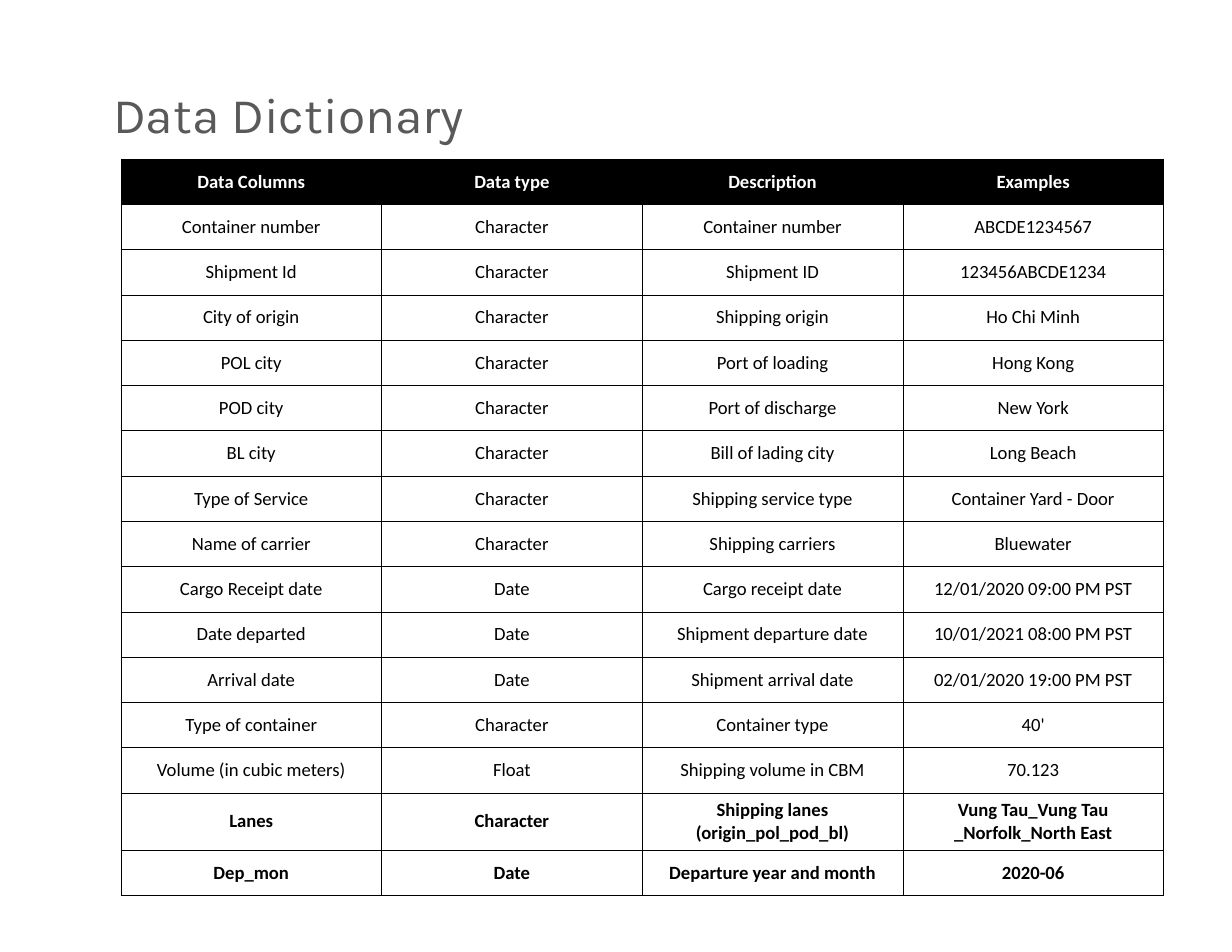
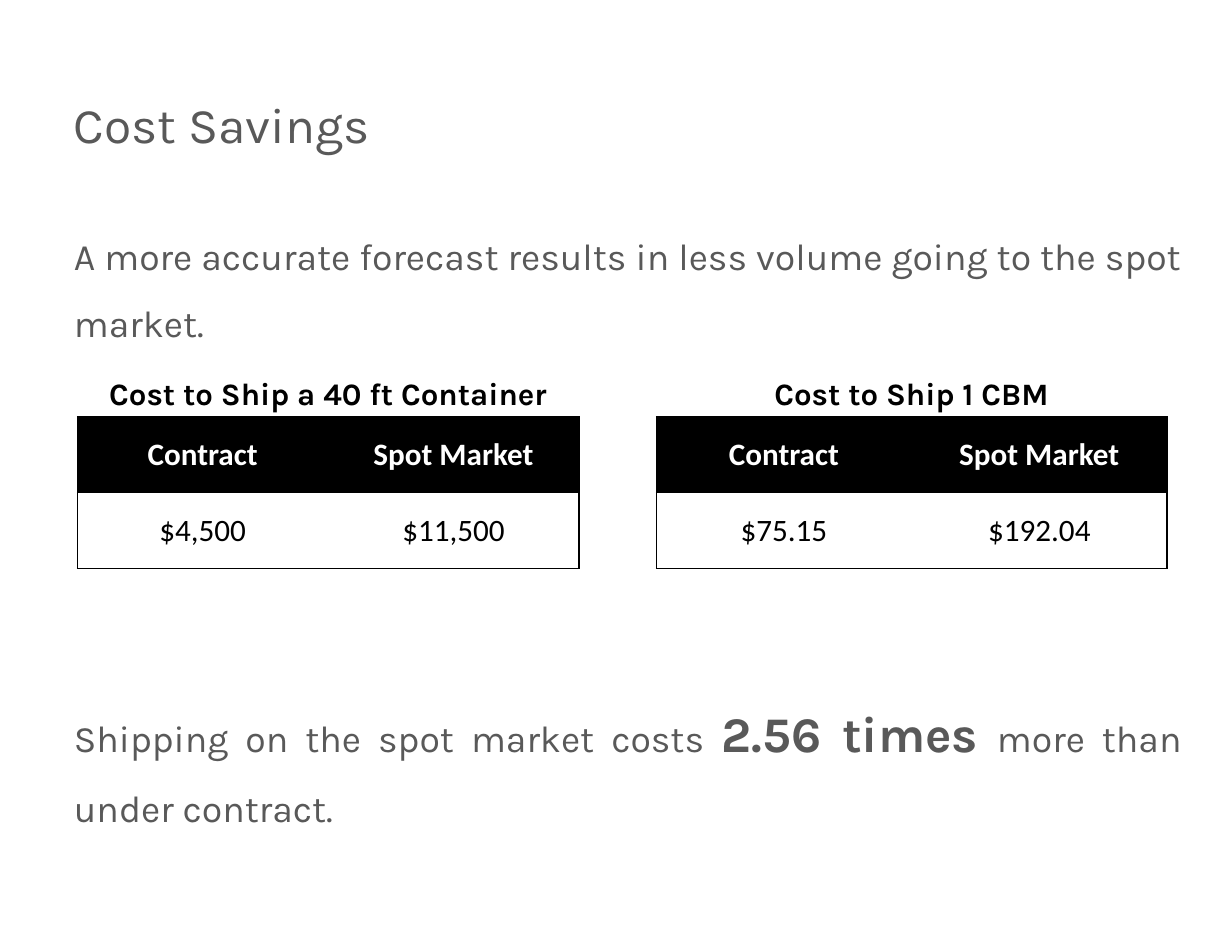
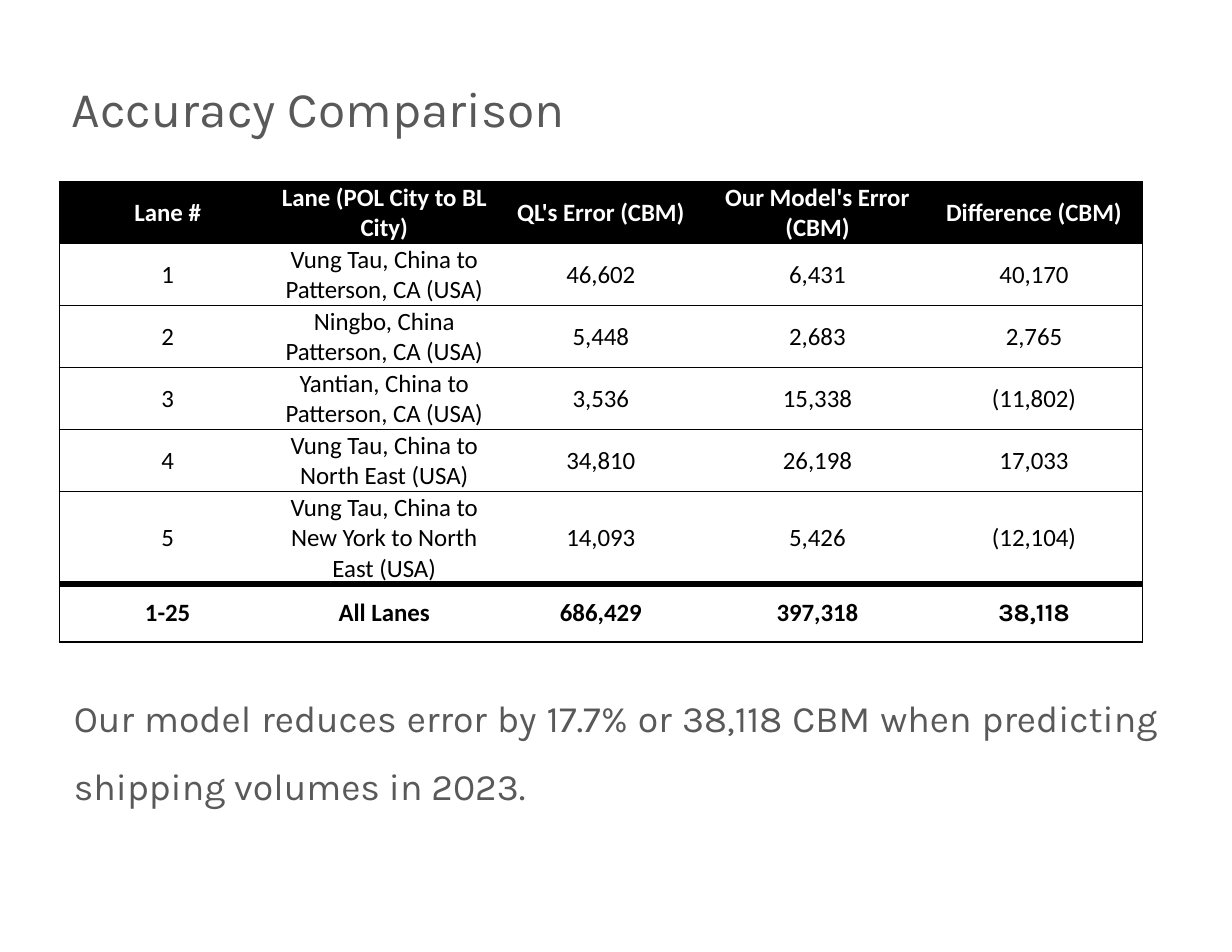
from collections import namedtuple

from lxml.etree import SubElement
from pptx import Presentation
from pptx.dml.color import RGBColor
from pptx.enum.text import MSO_ANCHOR as Anchor, MSO_AUTO_SIZE as AutoSize, PP_ALIGN as Align
from pptx.oxml.ns import qn
from pptx.util import Inches, Pt

COLS, ROWS = 11, 8.5
UNIT = Inches(1)
COLORS = {"text": "595959", "black": "000000", "white": "FFFFFF"}
HEAD_FONT, CELL_FONT = "Karla", "Calibri"
TEXT_INSETS = (0.11, 0.06, 0.11, 0.06)
CELL_INSETS = (0.1, 0.05, 0.1, 0.05)

Box = namedtuple("Box", "x y w h")

DICTIONARY = [
    ("Data Columns", "Data type", "Description", "Examples"),
    ("Container number", "Character", "Container number", "ABCDE1234567"),
    ("Shipment Id", "Character", "Shipment ID", "123456ABCDE1234"),
    ("City of origin", "Character", "Shipping origin", "Ho Chi Minh"),
    ("POL city", "Character", "Port of loading", "Hong Kong"),
    ("POD city", "Character", "Port of discharge", "New York"),
    ("BL city", "Character", "Bill of lading city", "Long Beach"),
    ("Type of Service", "Character", "Shipping service type", "Container Yard - Door"),
    ("Name of carrier", "Character", "Shipping carriers", "Bluewater"),
    ("Cargo Receipt date", "Date", "Cargo receipt date", "12/01/2020 09:00 PM PST"),
    ("Date departed", "Date", "Shipment departure date", "10/01/2021 08:00 PM PST"),
    ("Arrival date", "Date", "Shipment arrival date", "02/01/2020 19:00 PM PST"),
    ("Type of container", "Character", "Container type", "40'"),
    ("Volume (in cubic meters)", "Float", "Shipping volume in CBM", "70.123"),
    ("Lanes", "Character", "Shipping lanes (origin_pol_pod_bl)",
     "Vung Tau_Vung Tau _Norfolk_North East"),
    ("Dep_mon", "Date", "Departure year and month", "2020-06"),
]

COST_HEADER = ("Contract", "Spot Market")

ACCURACY = [
    ("Lane #", "Lane (POL City to BL City)", "QL's Error (CBM)",
     "Our Model's Error (CBM)", "Difference (CBM)"),
    ("1", "Vung Tau, China to Patterson, CA (USA)", "46,602", "6,431", "40,170"),
    ("2", "Ningbo, China Patterson, CA (USA)", "5,448", "2,683", "2,765"),
    ("3", "Yantian, China to Patterson, CA (USA)", "3,536", "15,338", "(11,802)"),
    ("4", "Vung Tau, China to North East (USA)", "34,810", "26,198", "17,033"),
    ("5", "Vung Tau, China to New York to North East (USA)", "14,093", "5,426", "(12,104)"),
    ("1-25", "All Lanes", "686,429", "397,318", "38,118"),
]


def rgb(name):
    return RGBColor.from_string(COLORS[name])


def emu(box):
    return [round(v * UNIT) for v in box]


def style(r, size, color="text", font=HEAD_FONT, bold=False):
    r.font.size, r.font.name, r.font.bold = Pt(size), font, bold
    r.font.color.rgb = rgb(color)


def set_insets(target, insets):
    target.margin_left, target.margin_top, target.margin_right, target.margin_bottom = emu(insets)


def add_title(s, text, box):
    sp = s.shapes.title
    sp.left, sp.top, sp.width, sp.height = emu(box)
    tf = sp.text_frame
    tf.text = text
    tf.word_wrap, tf.auto_size, tf.vertical_anchor = True, AutoSize.NONE, Anchor.MIDDLE
    set_insets(tf, TEXT_INSETS)
    p = tf.paragraphs[0]
    p.alignment, p.line_spacing, p.space_after = Align.LEFT, 1.2, Pt(5)
    style(p.runs[0], 32)


def add_text(s, box, parts, align, color="text", spacing=1.0, insets=TEXT_INSETS):
    tf = s.shapes.add_textbox(*emu(box)).text_frame
    tf.word_wrap = True
    set_insets(tf, insets)
    p = tf.paragraphs[0]
    p.alignment, p.line_spacing = align, spacing
    for text, size, bold in parts:
        r = p.add_run()
        r.text = text
        style(r, size, color, bold=bold)


def add_statement(s, box, *parts):
    add_text(s, box, parts, Align.JUSTIFY, spacing=1.5)


def set_borders(cell, widths):
    tc_pr = cell._tc.get_or_add_tcPr()
    for side, width in zip("LRTB", widths):
        ln = SubElement(tc_pr, qn(f"a:ln{side}"), w=str(Pt(width)))
        if width:
            fill = SubElement(ln, qn("a:solidFill"))
            SubElement(fill, qn("a:srgbClr"), val=COLORS["black"])
        else:
            SubElement(ln, qn("a:noFill"))


def add_table(s, box, rows, size, line, weights=None, insets=CELL_INSETS,
              inner_columns=False, bold_from=None, total_line=None):
    n_rows, n_cols = len(rows), len(rows[0])
    weights = weights or [1] * n_rows
    bold_from = bold_from or n_rows
    total_line = total_line or line
    table = s.shapes.add_table(n_rows, n_cols, *emu(box)).table
    for col in table.columns:
        col.width = round(box.w * UNIT / n_cols)
    for i, values in enumerate(rows):
        table.rows[i].height = round(box.h * UNIT * weights[i] / sum(weights))
        for j, value in enumerate(values):
            cell = table.cell(i, j)
            set_borders(cell, (
                line if inner_columns or j == 0 else 0,
                line if inner_columns or j == n_cols - 1 else 0,
                total_line if i == bold_from else line,
                total_line if i + 1 == bold_from else line,
            ))
            cell.fill.solid()
            cell.fill.fore_color.rgb = rgb("white" if i else "black")
            cell.vertical_anchor = Anchor.MIDDLE
            set_insets(cell, insets)
            cell.text_frame.text = value
            p = cell.text_frame.paragraphs[0]
            p.alignment = Align.CENTER
            style(p.runs[0], size, "black" if i else "white", CELL_FONT,
                  i == 0 or i >= bold_from)
    return table


def add_cost_panel(s, box, caption, costs):
    caption_h = 0.43
    add_text(s, Box(box.x, box.y, box.w, caption_h), [(caption, 20, True)],
             Align.CENTER, "black", insets=CELL_INSETS)
    add_table(s, Box(box.x, box.y + caption_h, box.w, box.h - caption_h),
              [COST_HEADER, costs], 20, 0.75, insets=(0.08, 0.04, 0.08, 0.04))


def dictionary_slide(s):
    add_title(s, "Data Dictionary", Box(0.9, 0.25, 8.17, 1.42))
    add_table(s, Box(1.08, 1.42, 9.31, 6.58), DICTIONARY, 12, 0.5,
              weights=[1] * 14 + [1.26, 1], inner_columns=True, bold_from=14)


def savings_slide(s):
    add_title(s, "Cost Savings", Box(0.55, 0.34, 10.29, 1.42))
    add_statement(s, Box(0.55, 1.82, 10.11, 1.4),
                  ("A more accurate forecast results in less volume going to the spot market.",
                   24, False))
    add_cost_panel(s, Box(0.69, 3.29, 4.48, 1.79), "Cost to Ship a 40 ft Container",
                   ("$4,500", "$11,500"))
    add_cost_panel(s, Box(5.86, 3.29, 4.56, 1.79), "Cost to Ship 1 CBM",
                   ("$75.15", "$192.04"))
    add_statement(s, Box(0.55, 5.95, 10.11, 1.45),
                  ("Shipping on the spot market costs ", 24, False),
                  ("2.56 times", 32, True),
                  (" ", 28, False),
                  ("more than under contract.", 24, False))


def accuracy_slide(s):
    add_title(s, "Accuracy Comparison", Box(0.53, 0.2, 9.9, 1.42))
    table = add_table(s, Box(0.53, 1.62, 9.67, 4.1), ACCURACY, 16, 1,
                      weights=[1] * 5 + [1.49, 0.94], insets=(0.01, 0.01, 0.01, 0),
                      bold_from=6, total_line=4)
    total = table.cell(6, 4).text_frame.paragraphs[0].runs[0]
    total.font.name = HEAD_FONT
    add_statement(s, Box(0.55, 5.95, 9.9, 1.45),
                  ("Our model reduces error by 17.7% or 38,118 CBM when predicting "
                   "shipping volumes in 2023.", 24, False))


def main():
    prs = Presentation()
    prs.slide_width, prs.slide_height = emu((COLS, ROWS))
    for build in (dictionary_slide, savings_slide, accuracy_slide):
        build(prs.slides.add_slide(prs.slide_layouts[5]))
    prs.save("out.pptx")


if __name__ == "__main__":
    main()
